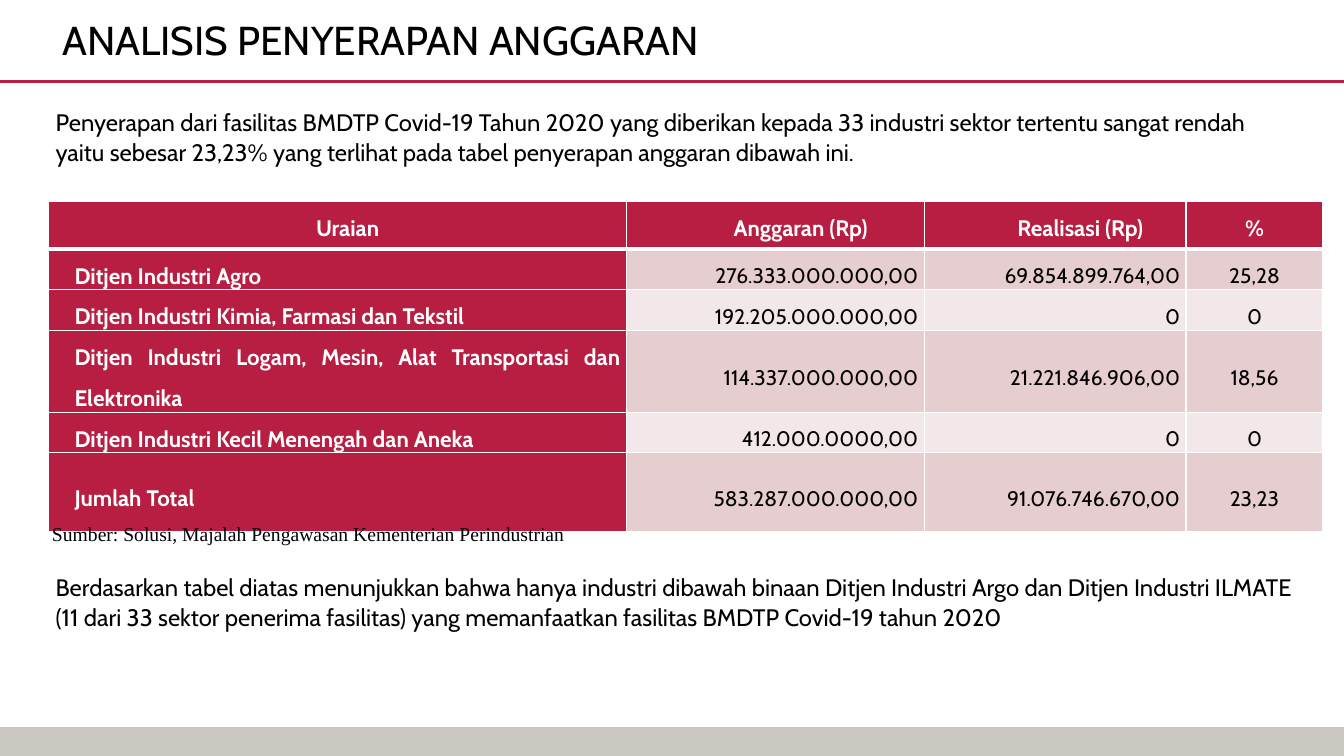
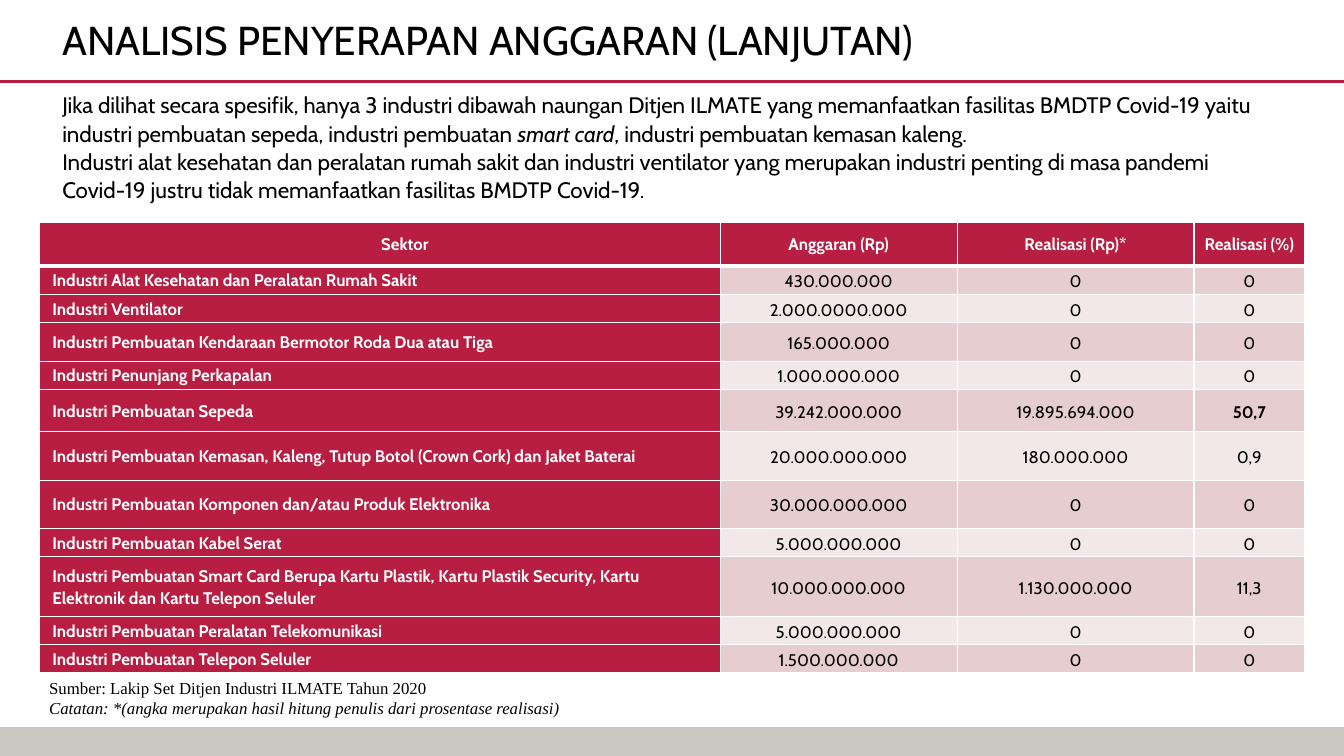
from lxml.etree import SubElement
from pptx import Presentation
from pptx.dml.color import RGBColor
from pptx.enum.shapes import MSO_CONNECTOR, MSO_SHAPE
from pptx.enum.text import MSO_ANCHOR, MSO_AUTO_SIZE, PP_ALIGN
from pptx.oxml import parse_xml
from pptx.oxml.ns import nsdecls, qn
from pptx.util import Cm, Pt

COLORS = {
    "white": "FFFFFF",
    "black": "000000",
    "crimson": "B71E42",
    "rose": "E6CDCF",
    "pale": "F3E8E9",
    "backdrop": "CAC7C1",
}
SANS, SERIF = "Cabin", "Times New Roman"
LEFT, CENTER, RIGHT, JUSTIFY = PP_ALIGN.LEFT, PP_ALIGN.CENTER, PP_ALIGN.RIGHT, PP_ALIGN.JUSTIFY
TOP, MIDDLE = MSO_ANCHOR.TOP, MSO_ANCHOR.MIDDLE
WIDTH, HEIGHT = 33.87, 19.05
PANEL_HEIGHT, RULE_Y = 18.32, 2.05
TITLE_BOX = (1.32, 0.36, 27.94, 1.4)

DITJEN_ROWS = [
    ("Uraian", "Anggaran (Rp)", "Realisasi (Rp)", "%"),
    ("Ditjen Industri Agro", "276.333.000.000,00", "69.854.899.764,00", "25,28"),
    ("Ditjen Industri Kimia, Farmasi dan Tekstil", "192.205.000.000,00", "0", "0"),
    ("Ditjen Industri Logam, Mesin, Alat Transportasi dan Elektronika",
     "114.337.000.000,00", "21.221.846.906,00", "18,56"),
    ("Ditjen Industri Kecil Menengah dan Aneka", "412.000.0000,00", "0", "0"),
    ("Jumlah Total", "583.287.000.000,00", "91.076.746.670,00", "23,23"),
]
SEKTOR_ROWS = [
    ("Sektor", "Anggaran (Rp)", "Realisasi (Rp)*", "Realisasi (%)"),
    ("Industri Alat Kesehatan dan Peralatan Rumah Sakit", "430.000.000", "0", "0"),
    ("Industri Ventilator", "2.000.0000.000", "0", "0"),
    ("Industri Pembuatan Kendaraan Bermotor Roda Dua atau Tiga", "165.000.000", "0", "0"),
    ("Industri Penunjang Perkapalan", "1.000.000.000", "0", "0"),
    ("Industri Pembuatan Sepeda", "39.242.000.000", "19.895.694.000", "50,7"),
    ("Industri Pembuatan Kemasan, Kaleng, Tutup Botol (Crown Cork) dan Jaket Baterai",
     "20.000.000.000", "180.000.000", "0,9"),
    ("Industri Pembuatan Komponen dan/atau Produk Elektronika", "30.000.000.000", "0", "0"),
    ("Industri Pembuatan Kabel Serat", "5.000.000.000", "0", "0"),
    ("Industri Pembuatan Smart Card Berupa Kartu Plastik, Kartu Plastik Security, "
     "Kartu Elektronik dan Kartu Telepon Seluler", "10.000.000.000", "1.130.000.000", "11,3"),
    ("Industri Pembuatan Peralatan Telekomunikasi", "5.000.000.000", "0", "0"),
    ("Industri Pembuatan Telepon Seluler", "1.500.000.000", "0", "0"),
]

SLIDES = [
    {
        "title": "ANALISIS PENYERAPAN ANGGARAN",
        "table": {
            "rows": DITJEN_ROWS, "at": (1.23, 5.08), "inset": 0.15,
            "columns": (14.56, 7.5, 6.6, 3.45),
            "heights": (1.2, 1.02, 1.02, 2.06, 1.02, 1.98),
            "header": {"size": 16, "spacing": 1.5, "anchor": TOP},
            "header_indents": (0.5, 1.27, 1.27, 0),
            "label": {"size": 16, "spacing": 1.5, "align": JUSTIFY, "indent": 0.5},
            "value": {"size": 15, "spacing": 1.5},
            "value_aligns": (RIGHT, RIGHT, CENTER), "bold_values": (),
        },
        "texts": [
            ((1.15, 2.24, 31.75, 2.39),
             ["Penyerapan dari fasilitas BMDTP Covid-19 Tahun 2020 yang diberikan kepada 33 "
              "industri sektor tertentu sangat rendah yaitu sebesar 23,23% yang terlihat pada "
              "tabel penyerapan anggaran dibawah ini."],
             {"size": 17, "spacing": 1.05}),
            ((1.06, 12.9, 31.75, 1.07),
             ["Sumber: Solusi, Majalah Pengawasan Kementerian Perindustrian"],
             {"size": 14, "spacing": 1.05, "font": SERIF}),
            ((1.15, 13.95, 31.75, 2.39),
             ["Berdasarkan tabel diatas menunjukkan bahwa hanya industri dibawah binaan Ditjen "
              "Industri Argo dan Ditjen Industri ILMATE (11 dari 33 sektor penerima fasilitas) "
              "yang memanfaatkan fasilitas BMDTP Covid-19 tahun 2020"],
             {"size": 17, "spacing": 1.05}),
        ],
    },
    {
        "title": "ANALISIS PENYERAPAN ANGGARAN (LANJUTAN)",
        "table": {
            "rows": SEKTOR_ROWS, "at": (0.99, 5.61), "inset": 0.1,
            "columns": (17.16, 5.97, 5.97, 2.79),
            "heights": (1.1, 0.71, 0.71, 0.97, 0.71, 1.07, 1.22, 1.22, 0.71, 1.51, 0.71, 0.71),
            "header": {"size": 12},
            "header_indents": (1.27, 0, 0, 0),
            "label": {"size": 12, "spacing": 1.05, "indent": 0.23},
            "value": {"size": 12, "spacing": 1.15},
            "value_aligns": (CENTER, CENTER, CENTER), "bold_values": ("50,7",),
        },
        "texts": [
            ((1.32, 2.07, 31.57, 3.25),
             [[("Jika dilihat secara spesifik, hanya 3 industri dibawah naungan Ditjen ILMATE "
                "yang memanfaatkan fasilitas BMDTP Covid-19 yaitu industri pembuatan sepeda, "
                "industri pembuatan ", False),
               ("smart card", True),
               (", industri pembuatan kemasan kaleng.", False)],
              "Industri alat kesehatan dan peralatan rumah sakit dan industri ventilator yang "
              "merupakan industri penting di masa pandemi Covid-19 justru tidak memanfaatkan "
              "fasilitas BMDTP Covid-19."],
             {"size": 16, "spacing": 1.05}),
            ((0.99, 16.95, 15.2, 1.27),
             ["Sumber: Lakip Set Ditjen Industri ILMATE Tahun 2020",
              [("Catatan: *(angka merupakan hasil hitung penulis dari prosentase realisasi)", True)]],
             {"size": 12, "font": SERIF, "align": JUSTIFY, "anchor": TOP}),
        ],
    },
]


def color(name):
    return RGBColor.from_string(COLORS[name])


def paint(fill, name):
    fill.solid()
    fill.fore_color.rgb = color(name)


def write(frame, paragraphs, size=12, font=SANS, fill="black", bold=False,
          align=LEFT, spacing=1.0, indent=0, anchor=MIDDLE):
    frame.word_wrap = True
    frame.vertical_anchor = anchor
    for index, content in enumerate(paragraphs):
        paragraph = frame.add_paragraph() if index else frame.paragraphs[0]
        paragraph.alignment = align
        paragraph.line_spacing = spacing
        paragraph.space_before = paragraph.space_after = Pt(0)
        if indent:
            paragraph._p.get_or_add_pPr().set("marL", str(Cm(indent)))
        for text, italic in [(content, False)] if isinstance(content, str) else content:
            run = paragraph.add_run()
            run.text = text
            run.font.size = Pt(size)
            run.font.name = font
            run.font.bold = bold
            run.font.italic = italic
            run.font.color.rgb = color(fill)


def set_borders(cell, top, bottom):
    properties = cell._tc.get_or_add_tcPr()
    sides = (("lnL", 1), ("lnR", 1), ("lnT", top), ("lnB", bottom))
    for position, (side, points) in enumerate(sides):
        properties.insert(position, parse_xml(
            f'<a:{side} {nsdecls("a")} w="{Pt(points)}"><a:solidFill>'
            f'<a:srgbClr val="{COLORS["white"]}"/></a:solidFill></a:{side}>'))


def add_budget_table(slide, data):
    rows, columns, heights = data["rows"], data["columns"], data["heights"]
    left, top = data["at"]
    table = slide.shapes.add_table(len(rows), len(columns), Cm(left), Cm(top),
                                   Cm(sum(columns)), Cm(sum(heights))).table
    for column, width in zip(table.columns, columns):
        column.width = Cm(width)
    for r, (row, height) in enumerate(zip(rows, heights)):
        table.rows[r].height = Cm(height)
        for c, text in enumerate(row):
            if r == 0:
                style = {**data["header"], "align": CENTER, "indent": data["header_indents"][c]}
            elif c == 0:
                style = data["label"]
            else:
                style = {**data["value"], "align": data["value_aligns"][c - 1]}
            heading = r == 0 or c == 0
            cell = table.cell(r, c)
            cell.margin_left = cell.margin_right = Cm(data["inset"])
            cell.margin_top = cell.margin_bottom = 0
            paint(cell.fill, "crimson" if heading else "rose" if r % 2 else "pale")
            set_borders(cell, 3 if r == 1 else 1, 3 if r == 0 else 1)
            write(cell.text_frame, [text], fill="white" if heading else "black",
                  bold=heading or text in data["bold_values"], **style)
            cell.vertical_anchor = style.get("anchor", MIDDLE)


def add_frame(slide, title_text):
    paint(slide.background.fill, "backdrop")
    panel = slide.shapes.add_shape(MSO_SHAPE.RECTANGLE, 0, 0, Cm(WIDTH), Cm(PANEL_HEIGHT))
    panel.shadow.inherit = False
    paint(panel.fill, "white")
    panel.line.fill.background()

    rule = slide.shapes.add_connector(MSO_CONNECTOR.STRAIGHT, 0, Cm(RULE_Y), Cm(WIDTH), Cm(RULE_Y))
    rule.line.color.rgb = color("crimson")
    rule.line.width = Pt(2.5)
    SubElement(rule._element.spPr, qn("a:effectLst"))

    title = slide.shapes.title
    title.left, title.top, title.width, title.height = map(Cm, TITLE_BOX)
    title.text_frame.auto_size = MSO_AUTO_SIZE.NONE
    write(title.text_frame, [title_text], size=28.8, spacing=0.9)
    slide.shapes._spTree.append(title._element)


def main():
    presentation = Presentation()
    presentation.slide_width, presentation.slide_height = Cm(WIDTH), Cm(HEIGHT)
    for content in SLIDES:
        slide = presentation.slides.add_slide(presentation.slide_layouts[5])
        add_frame(slide, content["title"])
        add_budget_table(slide, content["table"])
        for box, paragraphs, style in content["texts"]:
            textbox = slide.shapes.add_textbox(*map(Cm, box))
            write(textbox.text_frame, paragraphs, **style)
    presentation.save("out.pptx")


if __name__ == "__main__":
    main()
